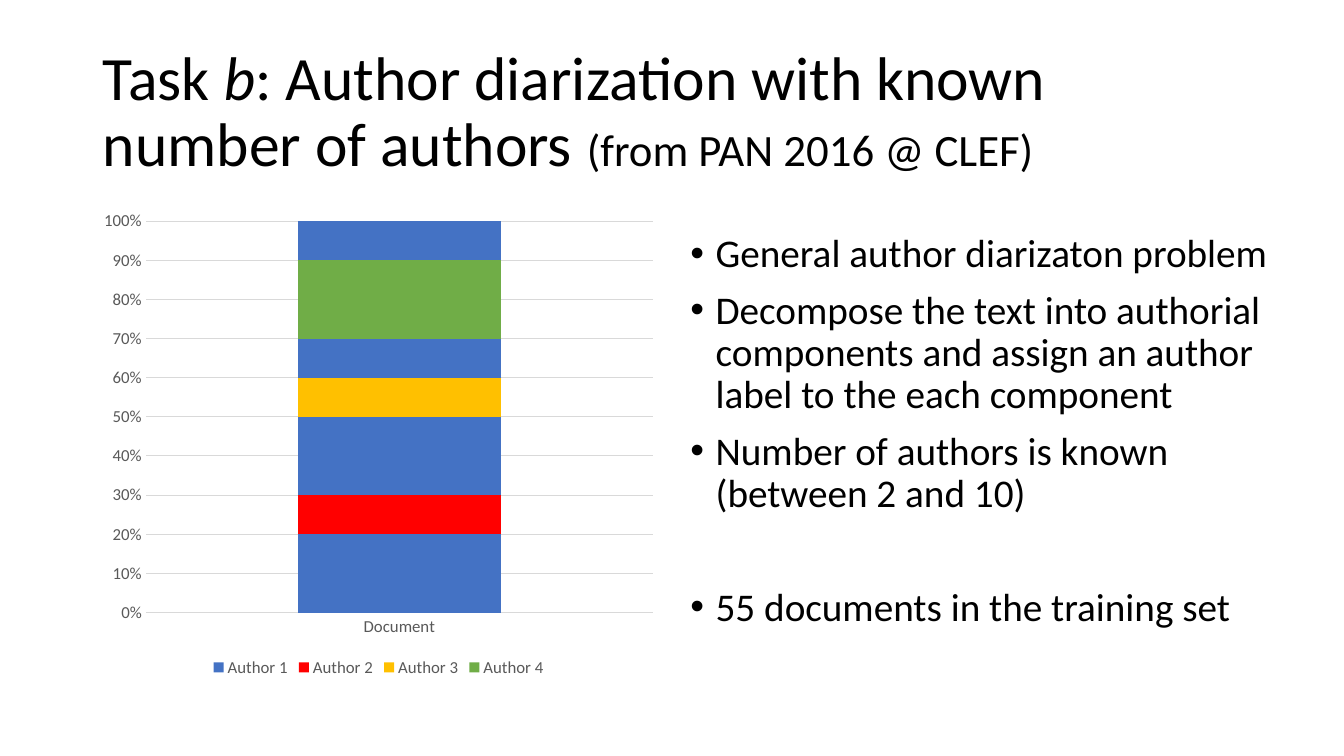
from lxml import etree
from pptx import Presentation
from pptx.chart.data import CategoryChartData
from pptx.dml.color import RGBColor
from pptx.enum.chart import XL_CHART_TYPE, XL_LEGEND_POSITION, XL_TICK_MARK
from pptx.enum.text import MSO_ANCHOR, PP_ALIGN
from pptx.oxml.ns import qn
from pptx.util import Inches, Pt

STACKED_100 = XL_CHART_TYPE.COLUMN_STACKED_100
BOTTOM = XL_LEGEND_POSITION.BOTTOM
NO_TICK = XL_TICK_MARK.NONE
MIDDLE, LEFT = MSO_ANCHOR.MIDDLE, PP_ALIGN.LEFT

BLACK = RGBColor(0x00, 0x00, 0x00)
GRAY = RGBColor(0x59, 0x59, 0x59)
GRID = RGBColor(0xD9, 0xD9, 0xD9)
BLUE = RGBColor(0x44, 0x72, 0xC4)
RED = RGBColor(0xFF, 0x00, 0x00)
GOLD = RGBColor(0xFF, 0xC0, 0x00)
GREEN = RGBColor(0x70, 0xAD, 0x47)
FONT = "Calibri"

# Content: (text, size, italic)
TITLE = [
    ("Task ", 44, False),
    ("b", 44, True),
    (": Author diarization with known number of authors ", 44, False),
    ("(from PAN 2016 @ CLEF)", 32, False),
]
# (name, share of the document, colour, shown in legend)
SEGMENTS = [
    ("Author 1", 20, BLUE, True),
    ("Author 2", 10, RED, True),
    ("Series 3", 20, BLUE, False),
    ("Author 3", 10, GOLD, True),
    ("Series 5", 10, BLUE, False),
    ("Author 4", 20, GREEN, True),
    ("Series 7", 10, BLUE, False),
]
# (text, space before in points)
BULLETS = [
    ("General author diarizaton problem", 10),
    ("Decompose the text into authorial components and assign an author "
     "label to the each component", 10),
    ("Number of authors is known (between 2 and 10)", 10),
    ("55 documents in the training set", 51),
]


def set_font(font, size, color):
    font.name = FONT
    font.size = Pt(size)
    font.color.rgb = color


def set_line(line, color):
    line.color.rgb = color
    line.width = Pt(0.75)


prs = Presentation()
prs.slide_width, prs.slide_height = Inches(13.33), Inches(7.5)
s = prs.slides.add_slide(prs.slide_layouts[5])

# Title
title = s.shapes.title
title.left, title.top = Inches(0.92), Inches(0.4)
title.width, title.height = Inches(11.5), Inches(1.45)
tf = title.text_frame
tf.vertical_anchor = MIDDLE
p = tf.paragraphs[0]
p.alignment = LEFT
p.line_spacing = 0.9
for text, size, italic in TITLE:
    r = p.add_run()
    r.text = text
    set_font(r.font, size, BLACK)
    r.font.italic = italic

# Chart of authorship along the document
data = CategoryChartData()
data.categories = ["Document"]
for name, share, _, _ in SEGMENTS:
    data.add_series(name, [share])
chart = s.shapes.add_chart(STACKED_100, Inches(0.92), Inches(2),
                           Inches(5.67), Inches(4.76), data).chart
chart.has_title = False
set_font(chart.font, 10, BLACK)
plot = chart.plots[0]
plot.gap_width, plot.overlap = 150, 100
plot.vary_by_categories = False
for series, (_, _, color, _) in zip(plot.series, SEGMENTS):
    series.format.fill.solid()
    series.format.fill.fore_color.rgb = color

# Axes
for axis in (chart.category_axis, chart.value_axis):
    axis.major_tick_mark = axis.minor_tick_mark = NO_TICK
    set_font(axis.tick_labels.font, 12, GRAY)
set_line(chart.category_axis.format.line, GRID)
values = chart.value_axis
values.format.line.fill.background()
values.has_major_gridlines = True
set_line(values.major_gridlines.format.line, GRID)
values.tick_labels.number_format = "0%"
values.tick_labels.number_format_is_linked = False

# Legend with one entry per author
chart.has_legend = True
legend = chart.legend
legend.position = BOTTOM
legend.include_in_layout = False
set_font(legend.font, 12, GRAY)
hidden = [i for i, segment in enumerate(SEGMENTS) if not segment[3]]
for place, idx in enumerate(hidden, 1):
    entry = etree.Element(qn("c:legendEntry"))
    etree.SubElement(entry, qn("c:idx")).set("val", str(idx))
    etree.SubElement(entry, qn("c:delete")).set("val", "1")
    legend._element.insert(place, entry)

# Bullets
tf = s.shapes.add_textbox(Inches(6.75), Inches(2.27),
                          Inches(6.24), Inches(4.49)).text_frame
tf.word_wrap = True
for i, (text, gap) in enumerate(BULLETS):
    p = tf.add_paragraph() if i else tf.paragraphs[0]
    p.text = text
    p.line_spacing = 0.9
    p.space_before = Pt(gap)
    set_font(p.runs[0].font, 28, BLACK)
    pPr = p._p.get_or_add_pPr()
    pPr.set("marL", str(Inches(0.25)))
    pPr.set("indent", str(-Inches(0.25)))
    etree.SubElement(pPr, qn("a:buFont")).set("typeface", "Arial")
    etree.SubElement(pPr, qn("a:buChar")).set("char", "•")

prs.save("out.pptx")
